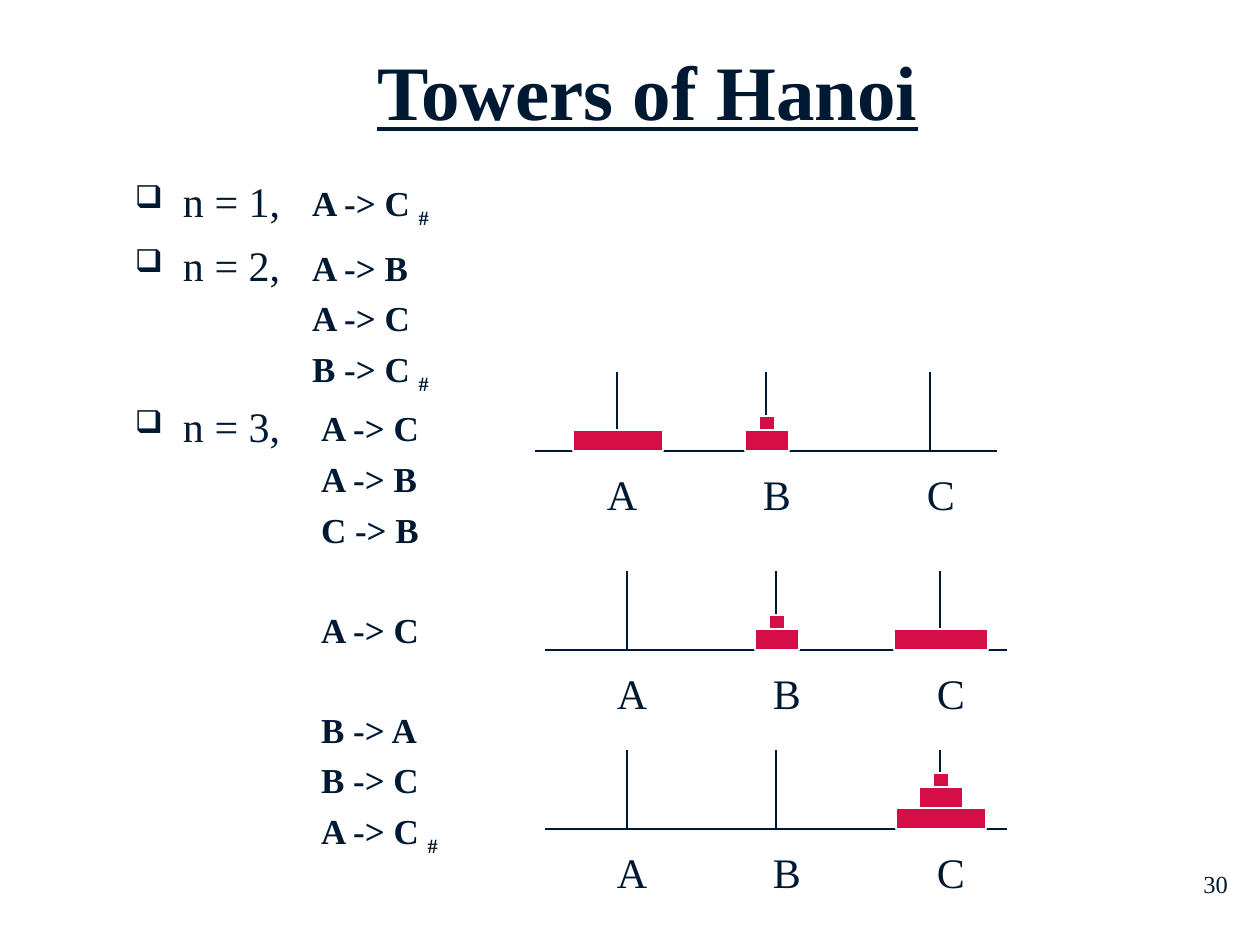
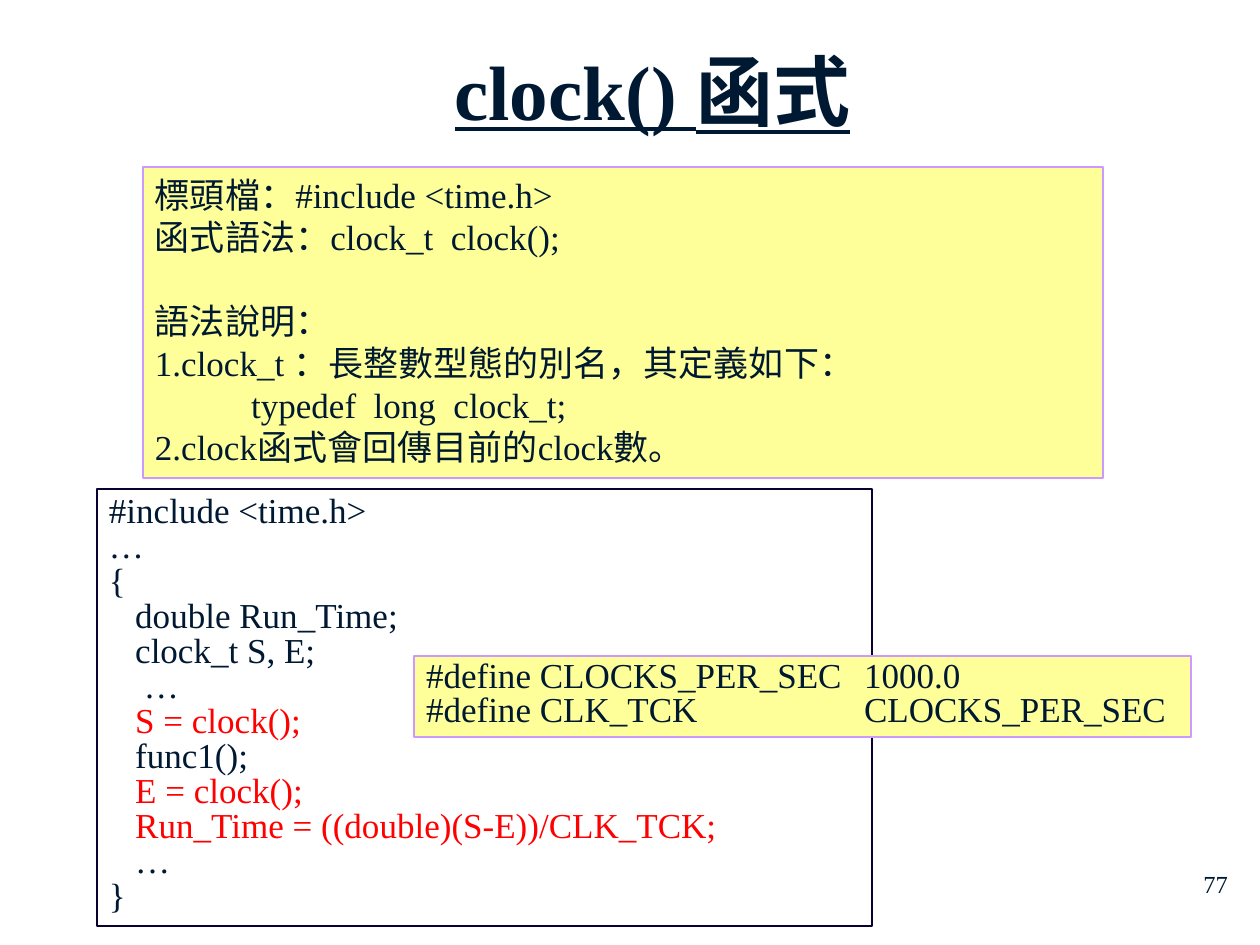
from lxml import etree
from pptx import Presentation
from pptx.dml.color import RGBColor
from pptx.enum.shapes import MSO_CONNECTOR, MSO_SHAPE
from pptx.enum.text import MSO_ANCHOR, MSO_AUTO_SIZE, PP_ALIGN
from pptx.oxml.ns import qn
from pptx.util import Emu, Pt

STRAIGHT, RECTANGLE = MSO_CONNECTOR.STRAIGHT, MSO_SHAPE.RECTANGLE
LEFT, CENTER, RIGHT = PP_ALIGN.LEFT, PP_ALIGN.CENTER, PP_ALIGN.RIGHT
TOP, BOTTOM = MSO_ANCHOR.TOP, MSO_ANCHOR.BOTTOM
FONT = "Times New Roman"
COLORS = {"ink": "001932", "disc": "D60E47", "white": "FFFFFF", "note": "FFFF99",
          "note line": "CC99FF", "code line": "090230", "timing": "FF0000"}
SCALE = 914400 / 126


def px(*lengths):
    """Turn px lengths into EMU."""
    return [Emu(round(length * SCALE)) for length in lengths]


def write(frame, *lines, size=20, bold=False, underline=False, align=LEFT, anchor=TOP,
          inset=(12, 6), before=0, spacing=None, bullet=None, tab=None, wrap=True):
    frame.word_wrap = wrap
    frame.auto_size = MSO_AUTO_SIZE.NONE
    frame.vertical_anchor = anchor
    frame.margin_left, frame.margin_top = frame.margin_right, frame.margin_bottom = px(*inset)
    for index, line in enumerate(lines):
        paragraph = frame.add_paragraph() if index else frame.paragraphs[0]
        properties = paragraph._p.get_or_add_pPr()
        if bullet:
            indent = px(48)[0]
            properties.set("marL", str(indent))
            properties.set("indent", str(-indent))
            color = etree.SubElement(properties, qn("a:buClr"))
            etree.SubElement(color, qn("a:srgbClr"), val=COLORS["ink"])
            etree.SubElement(properties, qn("a:buSzPct"), val="75000")
            etree.SubElement(properties, qn("a:buChar"), char=bullet)
        if tab:
            stops = etree.SubElement(properties, qn("a:tabLst"))
            etree.SubElement(stops, qn("a:tab"), pos=str(px(tab)[0]), algn="l")
        paragraph.alignment = align
        paragraph.space_before = Pt(before if index else 0)
        if spacing:
            paragraph.line_spacing = spacing
        run = paragraph.add_run()
        run.text = line
        font = run.font
        font.name, font.size, font.bold, font.underline = FONT, Pt(size), bold, underline
        font.color.rgb = RGBColor.from_string(COLORS["ink"])


presentation = Presentation()
presentation.slide_width, presentation.slide_height = px(1260, 945)
title_only = presentation.slide_layouts[5]

# Titles and page numbers
for title, left, number in (("Towers of Hanoi", 112, "30"), ("clock() 函式", 117, "77")):
    slide = presentation.slides.add_slide(title_only)
    heading = slide.shapes.title
    heading.left, heading.top, heading.width, heading.height = px(left, 45, 1071, 97)
    write(heading.text_frame, title, size=44, bold=True, underline=True,
          align=CENTER, anchor=BOTTOM)
    page_number = slide.shapes.add_textbox(*px(978, 863, 262, 63))
    write(page_number.text_frame, number, size=14, align=RIGHT)
hanoi, clock = presentation.slides

# Moves for each number of discs, split into stages
CASES = (
    ("n = 1,", 176, 312, [["A -> C #"]]),
    ("n = 2,", 240, 312, [["A -> B", "A -> C", "B -> C #"]]),
    ("n = 3,", 401, 321, [["A -> C", "A -> B", "C -> B"], ["A -> C"],
                          ["B -> A", "B -> C", "A -> C #"]]),
)
LINE, GAP = 23, 5
for label, top, moves_left, stages in CASES:
    label_box = hanoi.shapes.add_textbox(*px(135, top, 170, 48))
    write(label_box.text_frame, label, size=24, inset=(0, 0), bullet="❑")
    moves = sum(stages, [])
    rows = len(moves) + len(stages) - 1
    moves_box = hanoi.shapes.add_textbox(*px(moves_left, top + 6, 160, rows * 49))
    write(moves_box.text_frame, *moves, bold=True, inset=(0, 0), before=GAP)
    paragraphs = moves_box.text_frame.paragraphs
    first = 0
    for stage in stages[:-1]:
        first += len(stage)
        paragraphs[first].space_before = Pt(LINE + 2 * GAP)
    last = paragraphs[-1]
    move = last.runs[0]
    move.text = move.text.rstrip("#")
    mark = last.add_run()
    mark.text = "#"
    mark.font.name, mark.font.size, mark.font.bold = FONT, Pt(20), True
    mark.font.color.rgb = RGBColor.from_string(COLORS["ink"])
    mark.font._element.set("baseline", "-25000")

# Towers: left end, base line, and disc widths from the bottom up on each peg
PEGS = {"A": (82, 60), "B": (231, 216), "C": (395, 380)}
TOWERS = (
    (535, 451, {"A": [90], "B": [44, 15]}),
    (545, 650, {"B": [44, 15], "C": [94]}),
    (545, 829, {"C": [90, 44, 15]}),
)
for left, base, piles in TOWERS:
    tower = hanoi.shapes.add_group_shape().shapes
    lines = [(left + x, base - 79, left + x, base) for x, _ in PEGS.values()]
    lines.append((left, base, left + 462, base))
    for ends in lines:
        line = tower.add_connector(STRAIGHT, *px(*ends))
        line.line.color.rgb = RGBColor.from_string(COLORS["ink"])
        line.line.width = Pt(0.75)
        etree.SubElement(line._element.spPr, qn("a:effectLst"))
    for peg, (x, label_x) in PEGS.items():
        disc_bottom = base
        for width in piles.get(peg, []):
            height = 14 if width == 15 else 21
            disc_bottom -= height
            disc = tower.add_shape(RECTANGLE, *px(left + x + 1 - width / 2, disc_bottom,
                                                  width, height))
            disc.shadow.inherit = False
            disc.fill.solid()
            disc.fill.fore_color.rgb = RGBColor.from_string(COLORS["disc"])
            disc.line.color.rgb = RGBColor.from_string(COLORS["white"])
            disc.line.width = Pt(0.75)
        peg_label = tower.add_textbox(*px(left + label_x, base + 12, 74, 63))
        write(peg_label.text_frame, peg, size=24)

# Syntax, example code and constants
BOXES = (
    ((143, 167, 960, 311), "note", "note line", {}, (
        "標頭檔：#include <time.h>",
        "函式語法：clock_t  clock();",
        "語法說明：",
        "1.clock_t ：長整數型態的別名，其定義如下：",
        "           typedef  long  clock_t;",
        "2.clock函式會回傳目前的clock數。")),
    ((97, 489, 775, 437), None, "code line", {"spacing": Pt(20)}, (
        "#include <time.h>",
        "…",
        "{",
        "   double Run_Time;",
        "   clock_t S, E;",
        "    …",
        "   S = clock();",
        "   func1();",
        "   E = clock();",
        "   Run_Time = ((double)(S-E))/CLK_TCK;",
        "   …",
        "}")),
    ((414, 656, 777, 81), "note", "note line", {"spacing": 0.8, "tab": 438, "wrap": False}, (
        "#define CLOCKS_PER_SEC\t1000.0",
        "#define CLK_TCK\tCLOCKS_PER_SEC")),
)
frames = []
for place, fill, outline, text_format, lines in BOXES:
    box = clock.shapes.add_shape(RECTANGLE, *px(*place))
    box.shadow.inherit = False
    if fill:
        box.fill.solid()
        box.fill.fore_color.rgb = RGBColor.from_string(COLORS[fill])
    else:
        box.fill.background()
    box.line.color.rgb = RGBColor.from_string(COLORS[outline])
    box.line.width = Pt(0.75)
    write(box.text_frame, *lines, **text_format)
    frames.append(box.text_frame)
syntax, code, constants = frames
syntax.paragraphs[2].space_before = Pt(24)
for row in (6, 8, 9):
    code.paragraphs[row].runs[0].font.color.rgb = RGBColor.from_string(COLORS["timing"])

presentation.save("out.pptx")
